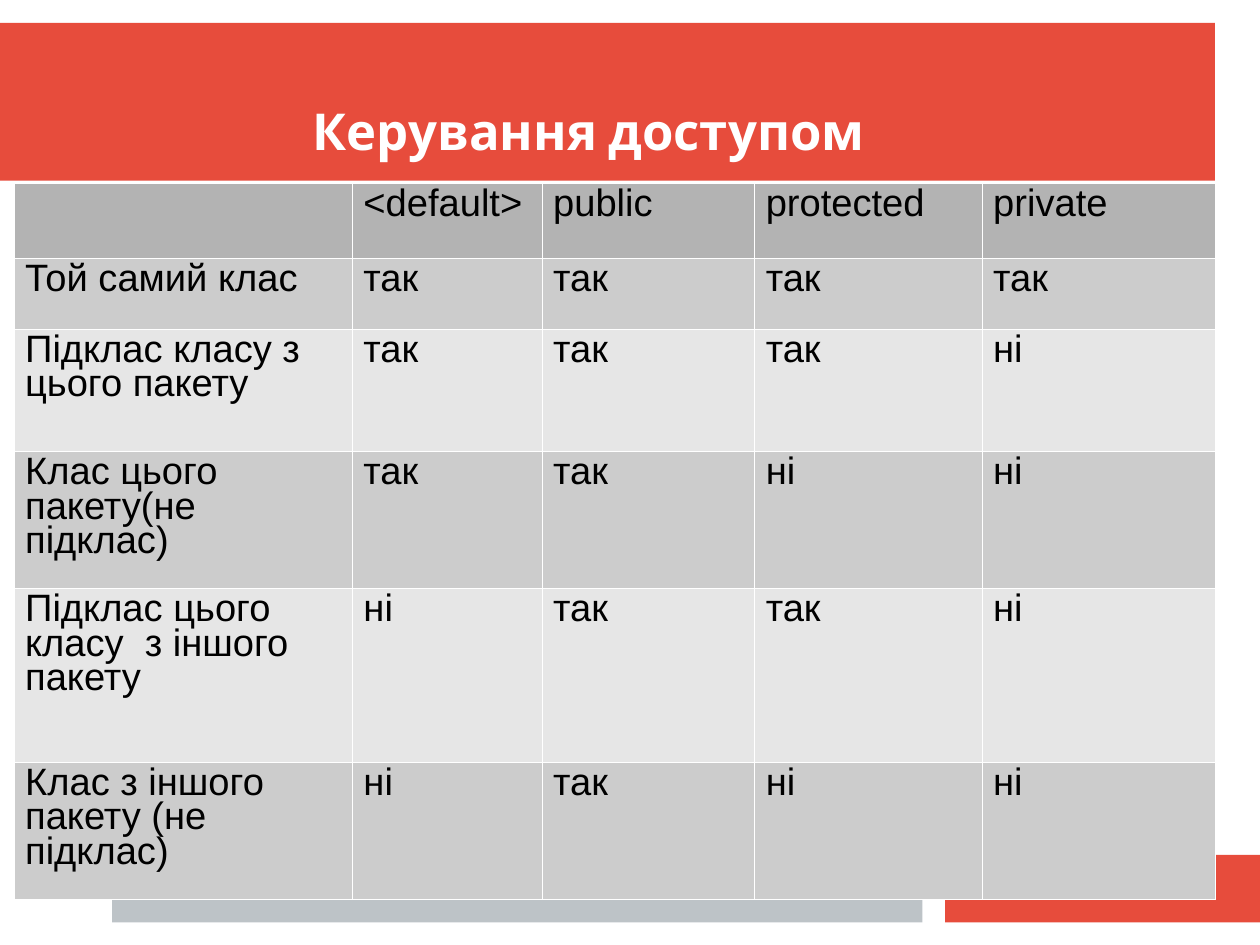
"""Build the slide with the access control table."""
from lxml.etree import SubElement
from pptx import Presentation
from pptx.dml.color import RGBColor
from pptx.enum.shapes import MSO_SHAPE
from pptx.enum.text import MSO_ANCHOR, PP_ALIGN
from pptx.oxml.ns import qn
from pptx.util import Inches, Pt

COLORS = {
    "red": "E74C3C",
    "silver": "BDC3C7",
    "header": "B3B3B3",
    "dark_row": "CCCCCC",
    "light_row": "E6E6E6",
    "white": "FFFFFF",
    "black": "000000",
}
CM_PER_INCH = 2.54
BANDS = [
    (0, 0.2, 10.63, 1.38, "red"),
    (8.27, 7.48, 2.76, 0.59, "red"),
    (0.98, 7.48, 7.09, 0.59, "silver"),
]
ACCESS = [
    ["", "<default>", "public", "protected", "private"],
    ["Той самий клас", "так", "так", "так", "так"],
    ["Підклас класу з цього пакету", "так", "так", "так", "ні"],
    ["Клас цього пакету(не підклас)", "так", "так", "ні", "ні"],
    ["Підклас цього класу  з іншого пакету", "ні", "так", "так", "ні"],
    ["Клас з іншого пакету (не підклас)", "ні", "так", "ні", "ні"],
]
COLUMN_WIDTHS = [2.96, 1.66, 1.86, 1.99, 2.04]
ROW_HEIGHTS = [0.66, 0.62, 1.07, 1.2, 1.52, 1.2]


def color(name):
    return RGBColor.from_string(COLORS[name])


def format_paragraph(paragraph, font_name, size, color_name, bold, spacing):
    paragraph.line_spacing = spacing
    for run in paragraph.runs:
        run.font.name = font_name
        run.font.size = Pt(size)
        run.font.bold = bold
        run.font.color.rgb = color(color_name)


presentation = Presentation()
presentation.slide_width = Inches(28 / CM_PER_INCH)
presentation.slide_height = Inches(21 / CM_PER_INCH)
slide = presentation.slides.add_slide(presentation.slide_layouts[5])

for left, top, width, height, fill_name in BANDS:
    band = slide.shapes.add_shape(
        MSO_SHAPE.RECTANGLE, Inches(left), Inches(top), Inches(width), Inches(height)
    )
    band.shadow.inherit = False
    band.fill.solid()
    band.fill.fore_color.rgb = color(fill_name)
    band.line.fill.background()

table = slide.shapes.add_table(
    len(ROW_HEIGHTS), len(COLUMN_WIDTHS),
    Inches(0.12), Inches(1.6), Inches(10.51), Inches(6.28),
).table
table.first_row = False
table.horz_banding = False
for column, width in zip(table.columns, COLUMN_WIDTHS):
    column.width = Inches(width)

for row_index, (row, height) in enumerate(zip(table.rows, ROW_HEIGHTS)):
    row.height = Inches(height)
    fill_name = "header" if row_index == 0 else ("light_row", "dark_row")[row_index % 2]
    for cell, text in zip(row.cells, ACCESS[row_index]):
        properties = cell._tc.get_or_add_tcPr()
        for side in ("a:lnL", "a:lnR", "a:lnT", "a:lnB"):
            border = SubElement(properties, qn(side), w=str(Pt(0.06)))
            border_fill = SubElement(border, qn("a:solidFill"))
            SubElement(border_fill, qn("a:srgbClr"), val=COLORS["white"])
        cell.fill.solid()
        cell.fill.fore_color.rgb = color(fill_name)
        cell.text_frame.text = text
        format_paragraph(cell.text_frame.paragraphs[0], "Arial", 24, "black", False, 0.81)

title = slide.shapes.title
title.left, title.top = Inches(0.59), Inches(0.44)
title.width, title.height = Inches(9.12), Inches(0.98)
title.element.getparent().append(title.element)
title_frame = title.text_frame
title_frame.text = "Керування доступом"
title_frame.word_wrap = True
title_frame.vertical_anchor = MSO_ANCHOR.BOTTOM
title_frame.margin_left = title_frame.margin_right = 0
title_frame.margin_top = title_frame.margin_bottom = 0
title_paragraph = title_frame.paragraphs[0]
title_paragraph.alignment = PP_ALIGN.CENTER
format_paragraph(title_paragraph, "Cabin", 32, "white", True, 0.98)

presentation.save("out.pptx")
